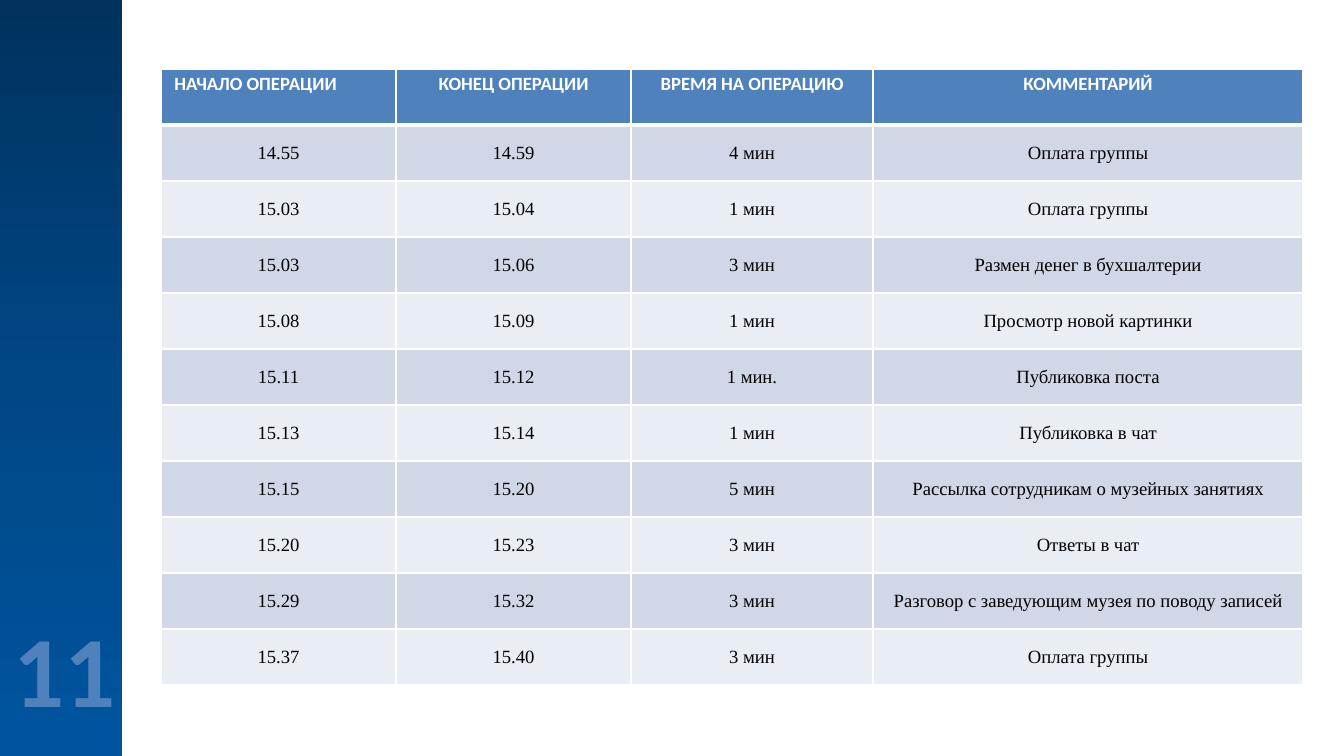
import dataclasses

import pptx
import pptx.dml.color
import pptx.enum.shapes
import pptx.enum.text
import pptx.oxml
import pptx.oxml.ns
import pptx.util

PX = 914400 / 134.4
HUES = {
    "white": "FFFFFF", "black": "000000", "blue": "4F81BD",
    "odd": "D0D8E8", "even": "E9EDF4",
    "deep": "00325E", "mid": "004786", "light": "00549F",
}
ALIGN = pptx.enum.text.PP_ALIGN
ANCHOR = pptx.enum.text.MSO_ANCHOR

COLS = (235, 235, 242, 430)
ROW = 56
HEAD = ("НАЧАЛО ОПЕРАЦИИ", "КОНЕЦ ОПЕРАЦИИ", "ВРЕМЯ НА ОПЕРАЦИЮ", "КОММЕНТАРИЙ")
LOG = (
    ("14.55", "14.59", "4 мин", "Оплата группы"),
    ("15.03", "15.04", "1 мин", "Оплата группы"),
    ("15.03", "15.06", "3 мин", "Размен денег в бухшалтерии"),
    ("15.08", "15.09", "1 мин", "Просмотр новой картинки"),
    ("15.11", "15.12", "1 мин.", "Публиковка поста"),
    ("15.13", "15.14", "1 мин", "Публиковка в чат"),
    ("15.15", "15.20", "5 мин", "Рассылка сотрудникам о музейных занятиях"),
    ("15.20", "15.23", "3 мин", "Ответы в чат"),
    ("15.29", "15.32", "3 мин", "Разговор с заведующим музея по поводу записей"),
    ("15.37", "15.40", "3 мин", "Оплата группы"),
)


@dataclasses.dataclass(frozen=True)
class Style:
    face: str
    size: int
    bold: bool
    hue: str
    para: dict
    cell: dict


TOP = Style("Calibri", 10, True, "white", {"line_spacing": 0.8},
            {"vertical_anchor": ANCHOR.TOP})
BODY = Style("Times New Roman", 10, False, "black", {}, {
    "vertical_anchor": ANCHOR.MIDDLE,
    "margin_left": pptx.util.Inches(0.03), "margin_right": pptx.util.Inches(0.03),
    "margin_top": pptx.util.Inches(0.02), "margin_bottom": pptx.util.Inches(0.02),
})
PAGE = Style("Calibri", 54, True, "blue", {}, {})


def emu(px: int) -> int:
    return round(px * PX)


def rgb(hue: str) -> pptx.dml.color.RGBColor:
    return pptx.dml.color.RGBColor.from_string(HUES[hue])


def apply(item: object, form: dict) -> None:
    for name, value in form.items():
        setattr(item, name, value)


def write(frame, text: str, style: Style, align=ALIGN.CENTER) -> None:
    para = frame.paragraphs[0]
    apply(para, {"alignment": align, **style.para})
    run = para.add_run()
    run.text = text
    apply(run.font, {"name": style.face, "size": pptx.util.Pt(style.size),
                     "bold": style.bold})
    run.font.color.rgb = rgb(style.hue)


def edge(cell, sides: dict) -> None:
    """Add white borders, ahead of the fill as the schema asks."""
    props = cell._tc.get_or_add_tcPr()
    for spot, (side, width) in enumerate(sides.items()):
        props.insert(spot, pptx.oxml.parse_xml(
            f'<a:{side} {pptx.oxml.ns.nsdecls("a")} w="{pptx.util.Pt(width)}">'
            f'<a:solidFill><a:srgbClr val="{HUES["white"]}"/></a:solidFill>'
            f'</a:{side}>'))


def band(slide) -> None:
    kind = pptx.enum.shapes.MSO_SHAPE.RECTANGLE
    shape = slide.shapes.add_shape(kind, 0, 0, emu(122), emu(756))
    shape.shadow.inherit = False
    shape.line.fill.background()
    shape.fill.gradient()
    shape.fill.gradient_angle = 270
    stops = shape.fill._fill._gradFill.gsLst
    for stop in list(stops):
        stops.remove(stop)
    for place, hue in ((0, "deep"), (50, "mid"), (100, "light")):
        stops.append(pptx.oxml.parse_xml(
            f'<a:gs {pptx.oxml.ns.nsdecls("a")} pos="{place * 1000}">'
            f'<a:srgbClr val="{HUES[hue]}"/></a:gs>'))


def grid(slide) -> None:
    rows = (HEAD,) + LOG
    table = slide.shapes.add_table(
        len(rows), len(COLS), emu(161), emu(69),
        emu(sum(COLS)), emu(ROW * len(rows))).table
    for col, width in zip(table.columns, COLS):
        col.width = emu(width)
    for y, row in enumerate(rows):
        table.rows[y].height = emu(ROW)
        style = BODY if y else TOP
        hue = ("odd" if y % 2 else "even") if y else "blue"
        for x, text in enumerate(row):
            cell = table.cell(y, x)
            cell.fill.solid()
            cell.fill.fore_color.rgb = rgb(hue)
            apply(cell, style.cell)
            first = x == 0 and y == 0
            write(cell.text_frame, text, style,
                  ALIGN.LEFT if first else ALIGN.CENTER)
            edge(cell, {"lnL": 1, "lnR": 1, "lnT": 3 if y == 1 else 1,
                        "lnB": 1 if y else 3})


def number(slide) -> None:
    box = slide.shapes.add_textbox(0, emu(600), emu(130), emu(136))
    box.text_frame.word_wrap = False
    write(box.text_frame, "11", PAGE)


def main() -> None:
    deck = pptx.Presentation()
    apply(deck, {"slide_width": emu(1344), "slide_height": emu(756)})
    slide = deck.slides.add_slide(deck.slide_layouts[6])
    # Side band with the page number
    band(slide)
    number(slide)
    # Log of operations
    grid(slide)
    deck.save("out.pptx")


if __name__ == "__main__":
    main()
